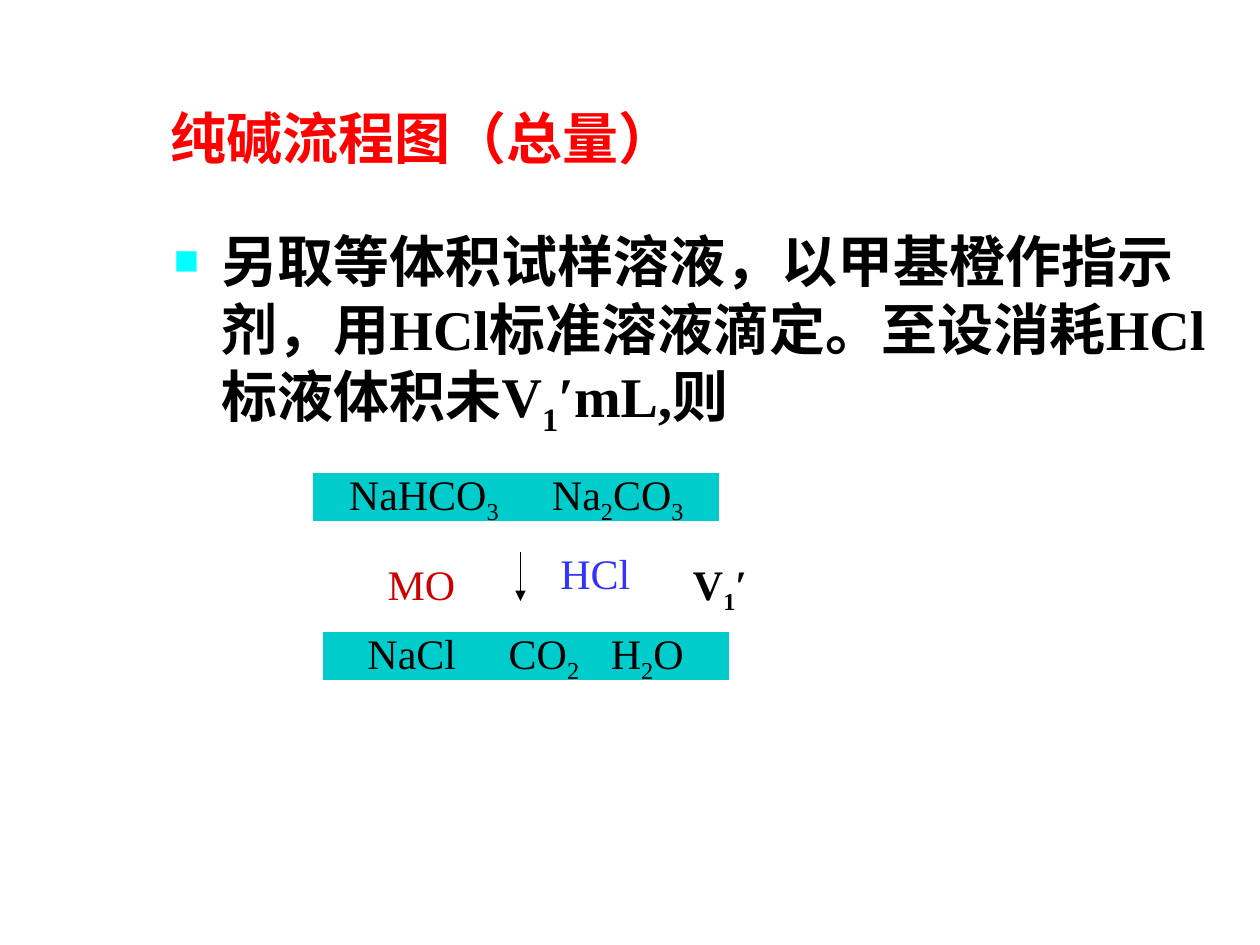
from dataclasses import dataclass

from lxml import etree
from pptx import Presentation
from pptx.dml.color import RGBColor
from pptx.enum.shapes import MSO_CONNECTOR, MSO_SHAPE
from pptx.enum.text import MSO_ANCHOR, MSO_AUTO_SIZE, PP_ALIGN
from pptx.oxml.ns import qn
from pptx.util import Pt

RECTANGLE = MSO_SHAPE.RECTANGLE
STRAIGHT = MSO_CONNECTOR.STRAIGHT
MIDDLE = MSO_ANCHOR.MIDDLE
TOP = MSO_ANCHOR.TOP
LEFT = PP_ALIGN.LEFT
CENTER = PP_ALIGN.CENTER
FIXED_SIZE = MSO_AUTO_SIZE.NONE
GROW = MSO_AUTO_SIZE.SHAPE_TO_FIT_TEXT

BLACK = RGBColor(0x00, 0x00, 0x00)
WHITE = RGBColor(0xFF, 0xFF, 0xFF)
RED = RGBColor(0xFF, 0x00, 0x00)
DARK_RED = RGBColor(0xCC, 0x00, 0x00)
BLUE = RGBColor(0x33, 0x33, 0xFF)
CYAN = RGBColor(0x00, 0xFF, 0xFF)
TEAL = RGBColor(0x00, 0xCC, 0xCC)

FONT = "Times New Roman"
HEADING_SIZE = 32
FORMULA_SIZE = 24
INSET = 7.2
SPECIES_WIDTH = 232.6
SPECIES_HEIGHT = 28.1
LABEL_HEIGHT = 36


@dataclass(frozen=True)
class Piece:
    text: str
    subscript: bool = False


@dataclass(frozen=True)
class SpeciesBar:
    left: float
    top: float
    lead: float
    tabs: tuple[float, ...]
    pieces: tuple[Piece, ...]


@dataclass(frozen=True)
class Label:
    left: float
    top: float
    width: float
    color: RGBColor
    pieces: tuple[Piece, ...]
    bold: bool = False


SUB_1 = Piece("1", True)
SUB_2 = Piece("2", True)
SUB_3 = Piece("3", True)

INSTRUCTION = (
    Piece("另取等体积试样溶液，以甲基橙作指示剂，用HCl标准溶液滴定。至设消耗HCl 标液体积未V"),
    SUB_1,
    Piece("′mL,则"),
)

SPECIES_BARS = (
    SpeciesBar(178.6, 270, 13.6, (116,),
               (Piece("NaHCO"), SUB_3, Piece("\tNa"), SUB_2, Piece("CO"), SUB_3)),
    SpeciesBar(184.3, 360.8, 18.5, (80.7, 139),
               (Piece("NaCl\tCO"), SUB_2, Piece("\tH"), SUB_2, Piece("O"))),
)

LABELS = (
    Label(280.8, 309.6, 118.8, BLUE, (Piece("HCl"),)),
    Label(206.6, 315.4, 68.4, DARK_RED, (Piece("MO"),)),
    Label(377.3, 315.4, 68.4, BLACK, (Piece("V"), SUB_1, Piece("′")), True),
)


def write(paragraph, pieces: tuple[Piece, ...], size: float,
          color: RGBColor, bold: bool = False) -> None:
    for piece in pieces:
        run = paragraph.add_run()
        run.text = piece.text
        run.font.name = FONT
        run.font.size = Pt(size)
        run.font.bold = bold
        run.font.color.rgb = color
        if piece.subscript:
            run._r.get_or_add_rPr().set("baseline", "-25000")


def place(shape, left: float, top: float, width: float, height: float) -> None:
    shape.left, shape.top = Pt(left), Pt(top)
    shape.width, shape.height = Pt(width), Pt(height)


def add_bullet(paragraph, indent: float) -> None:
    properties = paragraph._p.get_or_add_pPr()
    properties.set("marL", str(Pt(indent)))
    properties.set("indent", str(Pt(-indent)))
    bullet_color = etree.SubElement(properties, qn("a:buClr"))
    etree.SubElement(bullet_color, qn("a:srgbClr"), val=str(CYAN))
    etree.SubElement(properties, qn("a:buSzPct"), val="75000")
    etree.SubElement(properties, qn("a:buFont"), typeface=FONT)
    etree.SubElement(properties, qn("a:buChar"), char="■")


def add_tabs(paragraph, positions: tuple[float, ...]) -> None:
    tab_list = etree.SubElement(paragraph._p.get_or_add_pPr(), qn("a:tabLst"))
    for position in positions:
        etree.SubElement(tab_list, qn("a:tab"), pos=str(Pt(position)), algn="l")


def fill_placeholders(slide) -> None:
    title = slide.shapes.title
    place(title, 90, 48.2, 612, 59.8)
    title.text_frame.vertical_anchor = MIDDLE
    title.text_frame.auto_size = FIXED_SIZE
    heading = title.text_frame.paragraphs[0]
    heading.alignment = LEFT
    write(heading, (Piece("纯碱流程图（总量）"),), HEADING_SIZE, RED, True)

    body = slide.placeholders[1]
    place(body, 92.2, 126, 612, 351.4)
    body.text_frame.vertical_anchor = TOP
    body.text_frame.auto_size = FIXED_SIZE
    instruction = body.text_frame.paragraphs[0]
    add_bullet(instruction, 27)
    instruction.space_before = Pt(0)
    write(instruction, INSTRUCTION, HEADING_SIZE, BLACK, True)


def draw_species(slide, species: SpeciesBar) -> None:
    bar = slide.shapes.add_shape(RECTANGLE, Pt(species.left), Pt(species.top),
                                 Pt(SPECIES_WIDTH), Pt(SPECIES_HEIGHT))
    bar.shadow.inherit = False
    bar.fill.solid()
    bar.fill.fore_color.rgb = TEAL
    bar.line.color.rgb = WHITE
    bar.line.width = Pt(0.75)
    frame = bar.text_frame
    frame.word_wrap = True
    frame.vertical_anchor = MIDDLE
    frame.margin_left = Pt(INSET + species.lead)
    formulas = frame.paragraphs[0]
    formulas.alignment = LEFT
    add_tabs(formulas, species.tabs)
    write(formulas, species.pieces, FORMULA_SIZE, BLACK)


def draw_label(slide, label: Label) -> None:
    box = slide.shapes.add_textbox(Pt(label.left), Pt(label.top),
                                   Pt(label.width), Pt(LABEL_HEIGHT))
    box.text_frame.word_wrap = True
    box.text_frame.auto_size = GROW
    caption = box.text_frame.paragraphs[0]
    caption.alignment = CENTER
    write(caption, label.pieces, FORMULA_SIZE, label.color, label.bold)


def draw_reaction_arrow(slide, x: float, start: float, end: float) -> None:
    arrow = slide.shapes.add_connector(STRAIGHT, Pt(x), Pt(start), Pt(x), Pt(end))
    arrow.line.color.rgb = BLACK
    arrow.line.width = Pt(0.75)
    etree.SubElement(arrow.line._get_or_add_ln(), qn("a:tailEnd"), type="triangle")
    etree.SubElement(arrow._element.spPr, qn("a:effectLst"))


def main() -> None:
    presentation = Presentation()
    presentation.slide_width = Pt(720)
    presentation.slide_height = Pt(540)
    slide = presentation.slides.add_slide(presentation.slide_layouts[1])
    fill_placeholders(slide)
    for species in SPECIES_BARS:
        draw_species(slide, species)
    draw_reaction_arrow(slide, 297.4, 315.4, 343.4)
    for label in LABELS:
        draw_label(slide, label)
    presentation.save("out.pptx")


if __name__ == "__main__":
    main()
